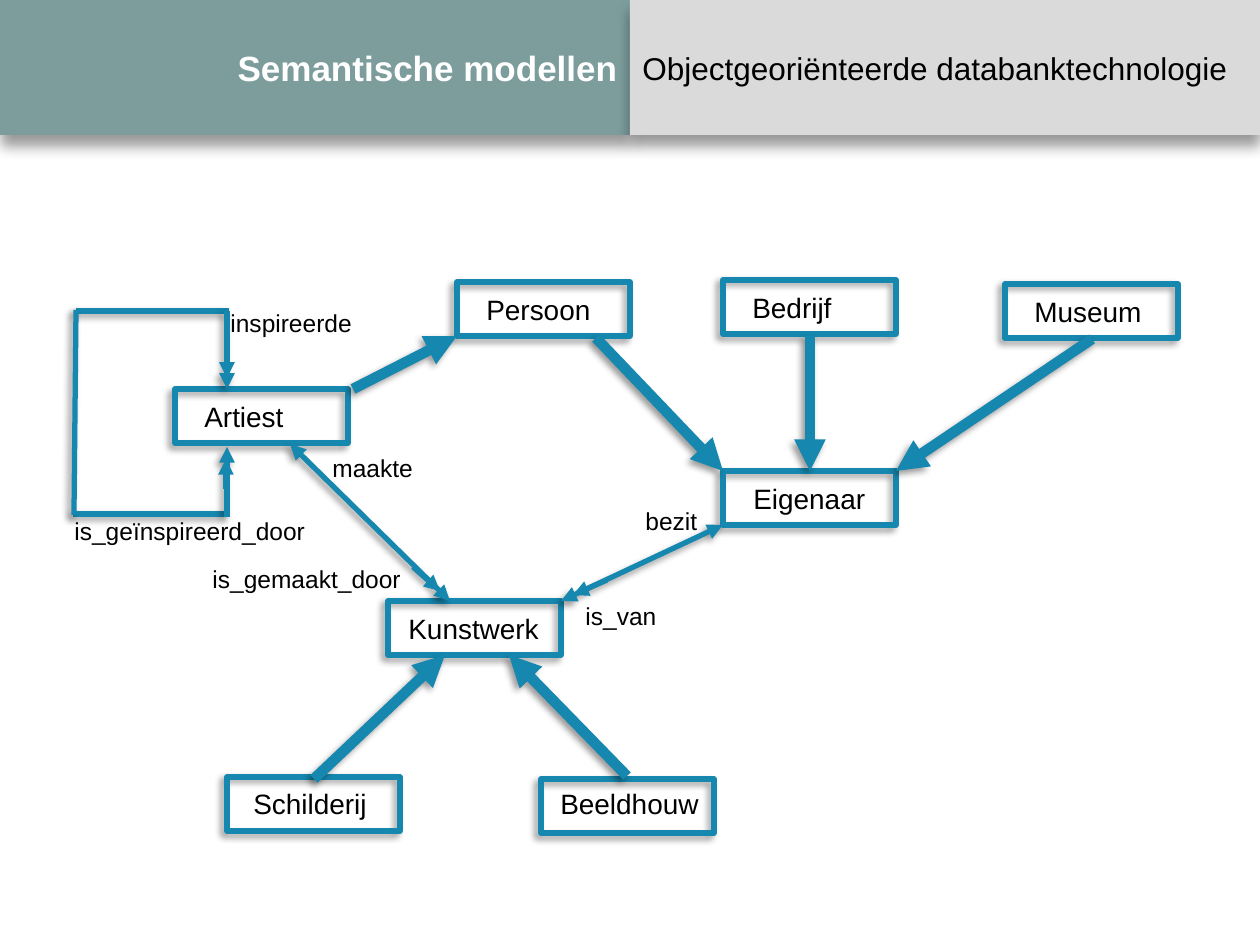
from dataclasses import dataclass

from lxml import etree
from pptx import Presentation
from pptx.dml.color import RGBColor
from pptx.enum.shapes import MSO_CONNECTOR, MSO_SHAPE
from pptx.enum.text import MSO_ANCHOR, MSO_AUTO_SIZE, PP_ALIGN
from pptx.oxml.ns import qn
from pptx.util import Emu, Pt

RECT = MSO_SHAPE.RECTANGLE
LINE = MSO_CONNECTOR.STRAIGHT
LEFT, RIGHT = PP_ALIGN.LEFT, PP_ALIGN.RIGHT
MIDDLE = MSO_ANCHOR.MIDDLE
GROW = MSO_AUTO_SIZE.SHAPE_TO_FIT_TEXT
SCALE = 914400 / 126  # EMU in one px


@dataclass(frozen=True)
class Shade:
    blur: int
    dist: int
    angle: int


@dataclass(frozen=True)
class Theme:
    font: str = "Arial"
    teal: str = "7D9D9D"
    grey: str = "DADADA"
    blue: str = "1687AF"
    black: str = "000000"
    white: str = "FFFFFF"
    title: int = 20
    topic: int = 18
    node: int = 16
    label: int = 14
    thin: int = 3
    thick: int = 6
    deep: Shade = Shade(8, 6, 90)
    soft: Shade = Shade(4, 3, 135)


@dataclass(frozen=True)
class Node:
    """A framed class; dx and dy place its name inside the frame."""
    name: str
    x: int
    y: int
    dx: int = 17
    dy: int = 4
    width: int = 130
    wrap: bool = True


@dataclass(frozen=True)
class Label:
    text: str
    x: int
    y: int
    width: int


@dataclass(frozen=True)
class Link:
    x1: int
    y1: int
    x2: int
    y2: int
    width: int
    head: bool = False
    tail: bool = False
    shade: bool = True


THEME = Theme()
NODE_W, NODE_H = 173, 54

NODES = [
    Node("Persoon", 457, 282),
    Node("Bedrijf", 723, 280),
    Node("Museum", 1005, 284, width=170),
    Node("Artiest", 175, 389),
    Node("Eigenaar", 723, 471, dx=18, width=137, wrap=False),
    Node("Kunstwerk", 388, 601, dx=8, width=156, wrap=False),
    Node("Schilderij", 227, 777, dx=14, dy=3, width=139, wrap=False),
    Node("Beeldhouw", 541, 779, dx=7, dy=1, width=165, wrap=False),
]

LABELS = [
    Label("inspireerde", 218, 302, 173),
    Label("is_geïnspireerd_door", 62, 510, 326),
    Label("maakte", 320, 447, 137),
    Label("is_gemaakt_door", 200, 558, 306),
    Label("bezit", 633, 500, 108),
    Label("is_van", 573, 595, 108),
]

IS_A = [
    (314, 779, 445, 655),
    (627, 776, 509, 655),
    (353, 389, 457, 336),
    (596, 338, 723, 471),
    (810, 336, 810, 471),
    (1092, 339, 896, 471),
]
MUTUAL = [(290, 444, 450, 601), (561, 601, 723, 525)]
LOOP = [(76, 311, 229, 311), (73, 514, 227, 514), (76, 310, 74, 515)]
LOOP_ENDS = [(227, 311, 227, 389), (227, 517, 227, 447)]
SECOND_TIPS = [
    (440, 591, 413, 567),
    (227, 378, 227, 353),
    (226, 459, 226, 489),
    (573, 595, 607, 580),
]

LINKS = [
    *(Link(*ends, THEME.thick, tail=True) for ends in IS_A),
    *(Link(*ends, THEME.thin, head=True, tail=True) for ends in MUTUAL),
    *(Link(*ends, THEME.thin) for ends in LOOP),
    *(Link(*ends, THEME.thin, tail=True) for ends in LOOP_ENDS),
    *(Link(*ends, THEME.thin, head=True, shade=False) for ends in SECOND_TIPS),
]


def px(*values: int) -> list[Emu]:
    return [Emu(round(value * SCALE)) for value in values]


def color(code: str) -> RGBColor:
    return RGBColor.from_string(code)


def cast(item, shade: Shade | None) -> None:
    """Replace the theme shadow by the given one, or by none."""
    props = item._element.spPr
    effects = etree.SubElement(props, qn("a:effectLst"))
    if shade:
        outer = etree.SubElement(
            effects, qn("a:outerShdw"), blurRad=str(Pt(shade.blur)),
            dist=str(Pt(shade.dist)), dir=str(shade.angle * 60000),
            algn="ctr", rotWithShape="0")
        tint = etree.SubElement(outer, qn("a:srgbClr"), val=THEME.black)
        etree.SubElement(tint, qn("a:alpha"), val="40000")


def write(frame, text: str, *, size: int, ink: str = THEME.black,
          bold: bool = False, align=LEFT) -> None:
    para = frame.paragraphs[0]
    para.alignment = align
    run = para.add_run()
    run.text = text
    font = run.font
    font.name, font.size, font.bold = THEME.font, Pt(size), bold
    font.color.rgb = color(ink)


def add_text(slide, text: str, x: int, y: int, width: int, height: int,
             size: int, wrap: bool = True) -> None:
    frame = slide.shapes.add_textbox(*px(x, y, width, height)).text_frame
    frame.word_wrap = wrap
    frame.auto_size = GROW
    write(frame, text, size=size)


def add_band(slide, text: str, x: int, fill: str, **style) -> None:
    band = slide.shapes.add_shape(RECT, *px(x, 0, 630, 135))
    band.fill.solid()
    band.fill.fore_color.rgb = color(fill)
    band.line.fill.background()
    cast(band, THEME.deep)
    band.text_frame.word_wrap = True
    band.text_frame.vertical_anchor = MIDDLE
    write(band.text_frame, text, **style)


def add_node(slide, node: Node) -> None:
    box = slide.shapes.add_shape(RECT, *px(node.x, node.y, NODE_W, NODE_H))
    box.fill.background()
    box.line.color.rgb = color(THEME.blue)
    box.line.width = Pt(THEME.thin)
    cast(box, THEME.soft)
    add_text(slide, node.name, node.x + node.dx, node.y + node.dy,
             node.width, 47, THEME.node, node.wrap)


def add_link(slide, link: Link) -> None:
    line = slide.shapes.add_connector(
        LINE, *px(link.x1, link.y1, link.x2, link.y2))
    line.line.color.rgb = color(THEME.blue)
    line.line.width = Pt(link.width)
    stroke = line._element.spPr.find(qn("a:ln"))
    for tag, shown in (("a:headEnd", link.head), ("a:tailEnd", link.tail)):
        if shown:
            etree.SubElement(stroke, qn(tag), type="triangle")
    cast(line, THEME.soft if link.shade else None)


def main() -> None:
    deck = Presentation()
    deck.slide_width, deck.slide_height = px(1260, 945)
    slide = deck.slides.add_slide(deck.slide_layouts[6])
    add_band(slide, "Semantische modellen", 0, THEME.teal,
             size=THEME.title, ink=THEME.white, bold=True, align=RIGHT)
    add_band(slide, "Objectgeoriënteerde databanktechnologie", 630,
             THEME.grey, size=THEME.topic)
    for node in NODES:
        add_node(slide, node)
    for link in LINKS:
        add_link(slide, link)
    for label in LABELS:
        add_text(slide, label.text, label.x, label.y, label.width, 42,
                 THEME.label)
    deck.save("out.pptx")


if __name__ == "__main__":
    main()
